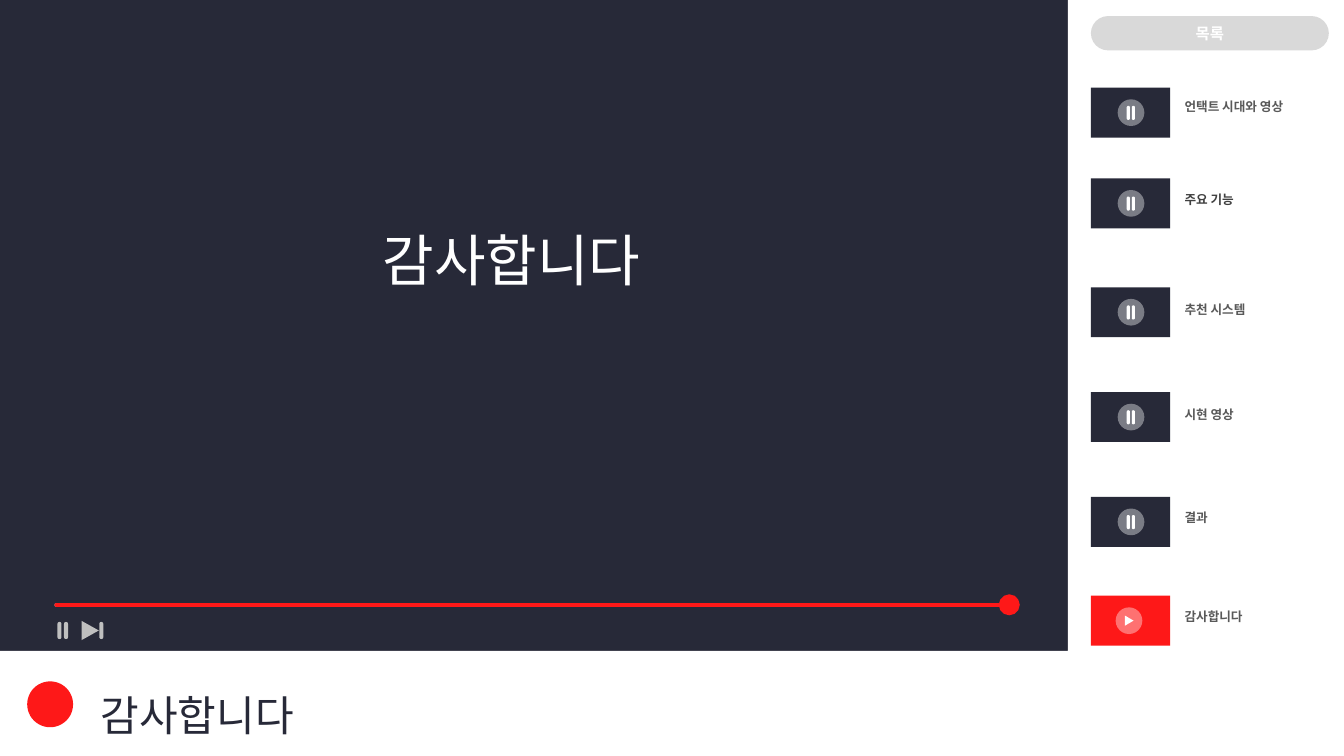
from lxml import etree
from pptx import Presentation, util as u
from pptx.dml.color import RGBColor
from pptx.enum import shapes, text
from pptx.oxml import ns

FONT = "Noto Sans CJK KR"
COLORS = {
    "navy": "272938", "red": "FE1818", "white": "FFFFFF", "track": "A6A6A6",
    "icon": "BFBFBF", "pill": "D9D9D9", "label": "595959", "dark": "404040",
}
KIND = shapes.MSO_SHAPE
# Grid of 133.3 columns by 75 rows
COLUMNS, ROWS = 133.3, 75
WIDTH, HEIGHT = u.Inches(13.33), u.Inches(7.5)
COLUMN, ROW = WIDTH / COLUMNS, HEIGHT / ROWS

presentation = Presentation()
presentation.slide_width, presentation.slide_height = WIDTH, HEIGHT
slide = presentation.slides.add_slide(presentation.slide_layouts[6])
slide.background.fill.solid()
slide.background.fill.fore_color.rgb = RGBColor.from_string(COLORS["navy"])


def add_block(kind, left, top, width, height, color, parent=slide, opacity=None,
              rotation=0, adjust=()):
    shape = parent.shapes.add_shape(kind, int(left * COLUMN), int(top * ROW),
                                    int(width * COLUMN), int(height * ROW))
    shape.shadow.inherit = False
    shape.fill.solid()
    shape.fill.fore_color.rgb = RGBColor.from_string(COLORS[color])
    shape.line.fill.background()
    shape.rotation = rotation
    for index, value in enumerate(adjust):
        shape.adjustments[index] = value
    if opacity is not None:
        fill_color = shape.fill._xPr.find(".//" + ns.qn("a:srgbClr"))
        etree.SubElement(fill_color, ns.qn("a:alpha"), val=str(opacity * 1000))
    return shape


def add_text(words, *, size, color, box=None, shape=None, bold=False, spacing=None,
             align=text.PP_ALIGN.LEFT):
    if shape is None:
        left, top, width, height = box
        shape = slide.shapes.add_textbox(int(left * COLUMN), int(top * ROW),
                                         int(width * COLUMN), int(height * ROW))
        shape.text_frame.auto_size = text.MSO_AUTO_SIZE.SHAPE_TO_FIT_TEXT
    else:
        shape.text_frame.vertical_anchor = text.MSO_ANCHOR.MIDDLE
    shape.text_frame.word_wrap = True
    paragraph = shape.text_frame.paragraphs[0]
    paragraph.alignment = align
    if spacing:
        paragraph.line_spacing = spacing
    run = paragraph.add_run()
    run.text = words
    run.font.name, run.font.size, run.font.bold = FONT, u.Pt(size), bold
    run.font.color.rgb = RGBColor.from_string(COLORS[color])
    etree.SubElement(run.font._element, ns.qn("a:ea"), typeface=FONT)


# White frame around the player
frame = add_block(KIND.CORNER, 0, 0, COLUMNS, ROWS, "white", adjust=(0.139, 0.365))
frame._element.spPr.find(ns.qn("a:xfrm")).set("flipH", "1")

# Channel dot and titles
add_block(KIND.OVAL, 2.7, 67.6, 4.55, 4.55, "red")
add_text("감사합니다", box=(9, 65.4, 56.7, 7.6), size=30, color="navy", spacing=1.5)
add_text("감사합니다", box=(37, 21.9, 31.1, 7.7), size=40, color="white")

# Progress bar: grey track under the red played part
for color in ("track", "red"):
    bar = slide.shapes.add_connector(
        shapes.MSO_CONNECTOR.STRAIGHT, int(5.6 * COLUMN), int(60 * ROW),
        int(100.1 * COLUMN), int(60 * ROW))
    bar.line.width = u.Pt(3)
    bar.line.color.rgb = RGBColor.from_string(COLORS[color])
    etree.SubElement(bar._element.spPr, ns.qn("a:effectLst"))
    line = bar.line._get_or_add_ln()
    line.set("cap", "rnd")
    if color == "red":
        etree.SubElement(line, ns.qn("a:tailEnd"), type="oval", w="lg", len="lg")

# Pause and next buttons
pause, skip = slide.shapes.add_group_shape(), slide.shapes.add_group_shape()
for group, left in ((pause, 5.7), (pause, 6.35), (skip, 9.85)):
    add_block(KIND.ROUNDED_RECTANGLE, left, 61.7, 0.4, 1.7, "icon", group, adjust=(0.5,))
add_block(KIND.ISOSCELES_TRIANGLE, 8, 61.7, 1.9, 1.7, "icon", skip, rotation=90)

# Playlist heading
pill = add_block(KIND.ROUNDED_RECTANGLE, 108.2, 1.6, 23.6, 3.4, "pill", adjust=(0.5,))
add_text("목록", shape=pill, size=11, color="white", bold=True,
         align=text.PP_ALIGN.CENTER)

# Playlist: words, thumbnail row, label row, label color
PLAYLIST = [
    ("언택트 시대와 영상", 8.7, 8.6, "label"),
    ("주요 기능", 17.7, 17.8, "dark"),
    ("추천 시스템", 28.5, 28.7, "label"),
    ("시현 영상", 38.9, 39.1, "label"),
    ("결과", 49.3, 49.3, "label"),
    ("감사합니다", 59.1, 59.2, "label"),
]
THUMB_LEFT = 108.2
for words, top, label_top, color in PLAYLIST:
    playing = words == PLAYLIST[-1][0]
    add_block(KIND.RECTANGLE, THUMB_LEFT, top, 7.85, 4.95, "red" if playing else "navy")
    button = slide.shapes.add_group_shape()
    add_block(KIND.OVAL, THUMB_LEFT + (2.45 if playing else 2.65), top + 1.15,
              2.65, 2.65, "white", button, opacity=39)
    if playing:
        add_block(KIND.ISOSCELES_TRIANGLE, THUMB_LEFT + 3.3, top + 2.05, 1, 0.85,
                  "white", button, rotation=90)
    else:
        for offset in (3.55, 4.05):
            add_block(KIND.ROUNDED_RECTANGLE, THUMB_LEFT + offset, top + 1.8, 0.32, 1.4,
                      "white", button, adjust=(0.5,))
    add_text(words, box=(116.5, label_top, 17.2, 3), size=9, color=color, bold=True,
             spacing=1.5)

presentation.save("out.pptx")
